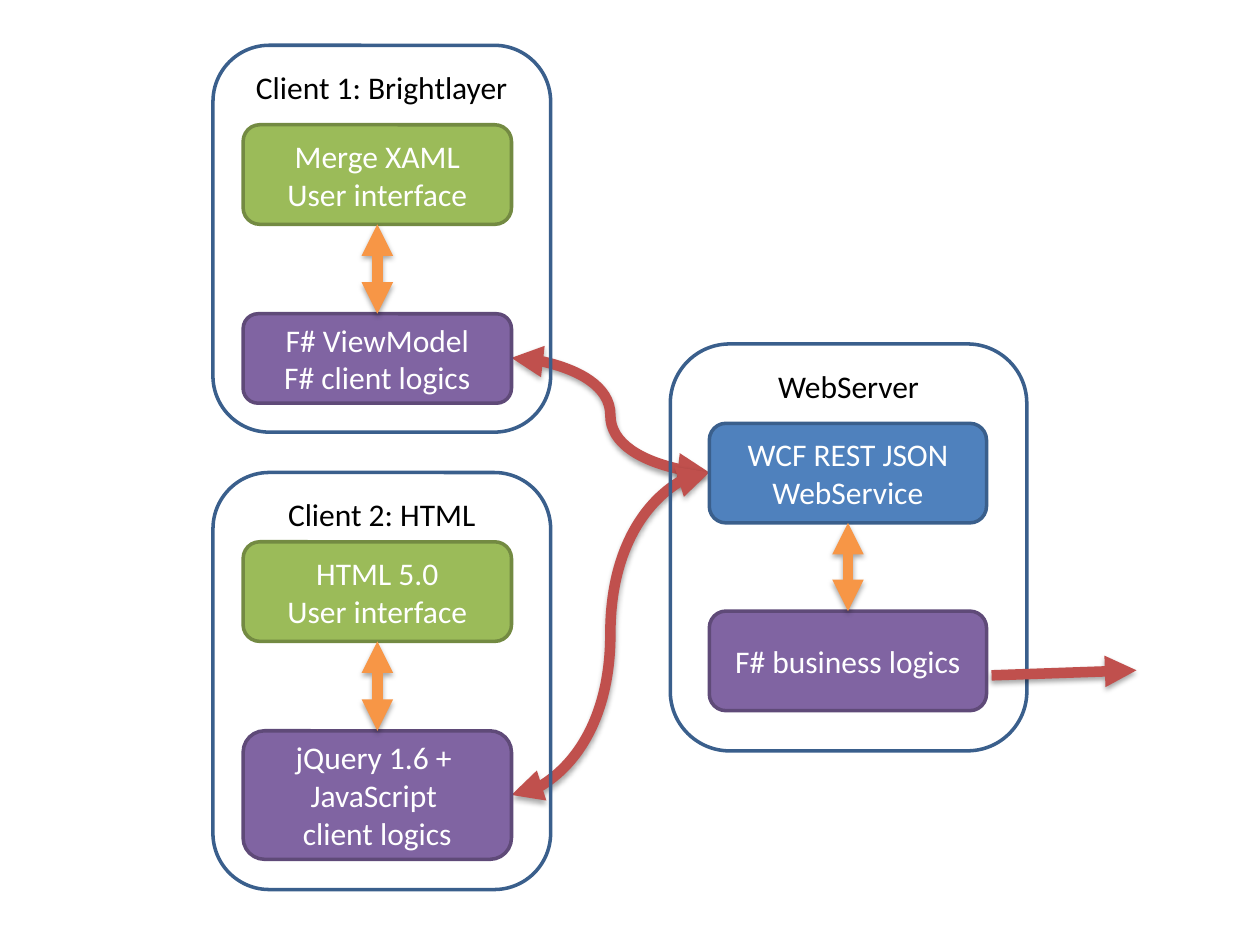
"""Build a slide showing two clients, a web server and the links between them."""
from lxml import etree
from pptx import Presentation
from pptx.dml.color import RGBColor
from pptx.enum import shapes, text
from pptx.oxml import ns
from pptx.util import Inches, Pt

BLACK = RGBColor(0x00, 0x00, 0x00)
WHITE = RGBColor(0xFF, 0xFF, 0xFF)
BLUE = RGBColor(0x4F, 0x81, 0xBD)
DARK_BLUE = RGBColor(0x3A, 0x5F, 0x8C)
GREEN = RGBColor(0x9B, 0xBB, 0x59)
DARK_GREEN = RGBColor(0x73, 0x8A, 0x42)
PURPLE = RGBColor(0x80, 0x64, 0xA2)
DARK_PURPLE = RGBColor(0x5F, 0x4A, 0x78)
RED = RGBColor(0xC0, 0x50, 0x4D)
ORANGE = RGBColor(0xF7, 0x96, 0x46)

SHADOW = (
    f'<a:effectLst {ns.nsdecls("a")}>'
    '<a:outerShdw blurRad="39400" dist="22900" dir="5400000" rotWithShape="0">'
    '<a:srgbClr val="000000"><a:alpha val="35000"/></a:srgbClr>'
    '</a:outerShdw></a:effectLst>'
)


def add_box(bounds, lines, fill, outline):
    shape = slide.shapes.add_shape(
        shapes.MSO_SHAPE.ROUNDED_RECTANGLE, *map(Inches, bounds))
    shape.shadow.inherit = False
    if fill is None:
        shape.fill.background()
    else:
        shape.fill.solid()
        shape.fill.fore_color.rgb = fill
    shape.line.color.rgb = outline
    shape.line.width = Pt(2)
    frame = shape.text_frame
    frame.word_wrap = True
    frame.vertical_anchor = text.MSO_ANCHOR.TOP if fill is None else text.MSO_ANCHOR.MIDDLE
    frame.text = "\n".join(lines)
    for paragraph in frame.paragraphs:
        paragraph.alignment = text.PP_ALIGN.CENTER
        font = paragraph.runs[0].font
        font_format = {"name": "Calibri", "size": Pt(18)}
        for name, value in font_format.items():
            setattr(font, name, value)
        font.color.rgb = BLACK if fill is None else WHITE


def add_arrow(kind, points, color, ends=("headEnd", "tailEnd")):
    arrow = slide.shapes.add_connector(kind, *map(Inches, points))
    arrow.line.color.rgb = color
    arrow.line.width = Pt(6)
    outline = arrow.line._get_or_add_ln()
    for end in ends:
        etree.SubElement(outline, ns.qn(f"a:{end}"), type="triangle")
    arrow._element.spPr.append(etree.fromstring(SHADOW))


presentation = Presentation()
presentation.slide_width = Inches(10)
presentation.slide_height = Inches(7.5)
slide = presentation.slides.add_slide(presentation.slide_layouts[6])

SERVICE_LEFT, SERVICE_MIDDLE = 5.63, 3.75
CLIENT_RIGHT = 4.06
for client_middle in (2.84, 6.31):
    add_arrow(shapes.MSO_CONNECTOR.CURVE,
              (CLIENT_RIGHT, client_middle, SERVICE_LEFT, SERVICE_MIDDLE), RED)

SERVER_BOX = (SERVICE_LEFT, 2.2)
CLIENT_BOX = (1.93, 2.13)
systems = [
    ("WebServer", (5.32, 2.73, 2.83, 3.23), SERVER_BOX, [
        (3.36, 0.79, ["WCF REST JSON WebService"], BLUE, DARK_BLUE),
        (4.85, 0.79, ["F# business logics"], PURPLE, DARK_PURPLE)]),
    ("Client 2: HTML", (1.69, 3.75, 2.68, 3.31), CLIENT_BOX, [
        (4.3, 0.79, ["HTML 5.0", "User interface"], GREEN, DARK_GREEN),
        (5.8, 1.02, ["jQuery 1.6 + ", "JavaScript ", "client logics"], PURPLE, DARK_PURPLE)]),
    ("Client 1: Brightlayer", (1.69, 0.36, 2.68, 3.07), CLIENT_BOX, [
        (0.99, 0.79, ["Merge XAML", "User interface"], GREEN, DARK_GREEN),
        (2.49, 0.71, ["F# ViewModel", "F# client logics"], PURPLE, DARK_PURPLE)]),
]
for title, bounds, (left, width), layers in systems:
    add_box(bounds, [title], None, DARK_BLUE)
    for top, height, lines, fill, outline in layers:
        add_box((left, top, width, height), lines, fill, outline)
    upper, lower = layers
    center = left + width / 2
    add_arrow(shapes.MSO_CONNECTOR.STRAIGHT,
              (center, lower[0], center, upper[0] + upper[1]), ORANGE)

add_arrow(shapes.MSO_CONNECTOR.STRAIGHT, (7.87, 5.36, 9.02, 5.32), RED, ["tailEnd"])

presentation.save("out.pptx")
